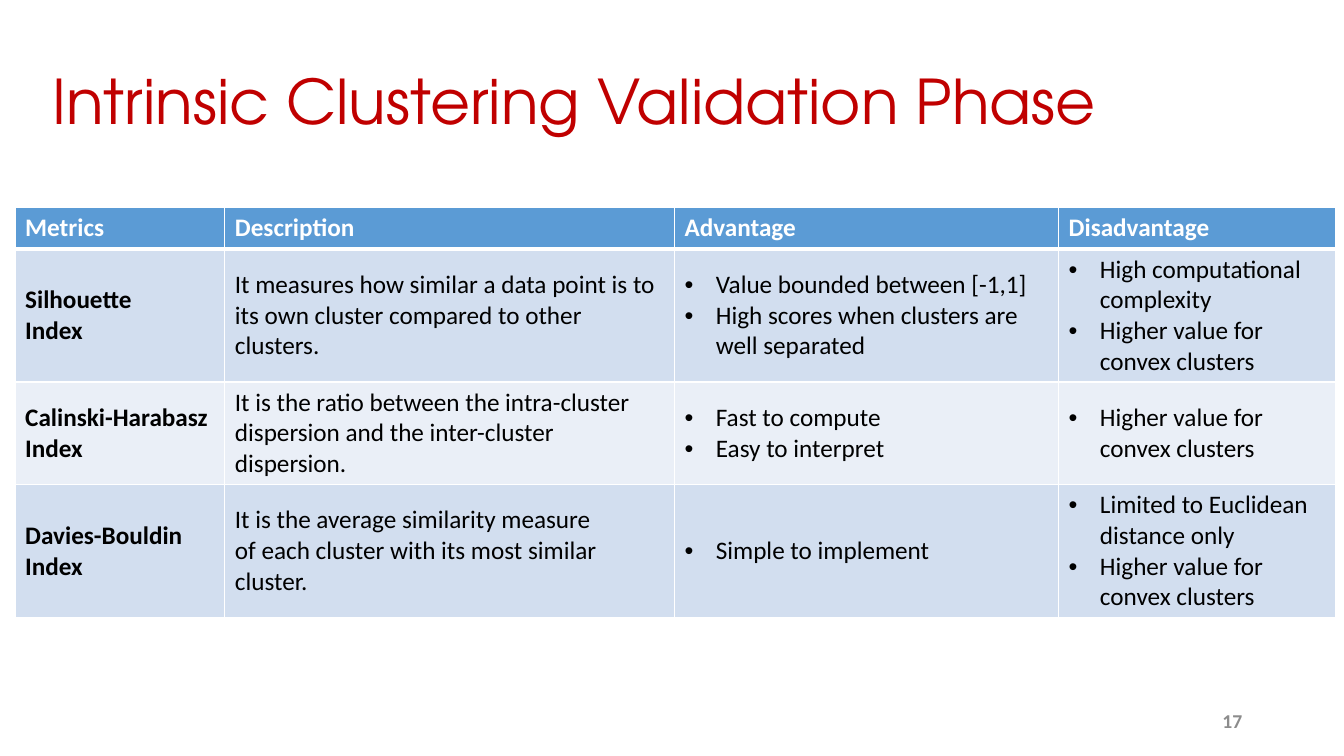
from dataclasses import dataclass
from lxml.etree import SubElement
from pptx import Presentation
from pptx.dml.color import RGBColor
from pptx.enum.text import MSO_ANCHOR, PP_ALIGN
from pptx.oxml.ns import qn
from pptx.util import Emu, Pt


@dataclass(frozen=True)
class Theme:
    title_font: str = "TeX Gyre Adventor"
    body_font: str = "Calibri"
    title_size: int = 44
    body_size: int = 18
    number_size: int = 14
    title: str = "C00000"
    text: str = "000000"
    white: str = "FFFFFF"
    number: str = "8C8C8C"
    header: str = "5B9BD5"
    bands: tuple = ("D2DEEF", "EAEFF7")


THEME = Theme()
EMU_PER_PX = 9144
BULLET_INDENT = 31
COL_WIDTHS = (208, 446, 381, 275)
ROW_HEIGHTS = (41, 131, 101, 131)
BULLET_COLS = (2, 3)
METRICS = (
    ("Metrics", "Description", "Advantage", "Disadvantage"),
    ("Silhouette\nIndex",
     "It measures how similar a data point is to its own cluster compared to other clusters.",
     "Value bounded between [-1,1]\nHigh scores when clusters are well separated",
     "High computational complexity\nHigher value for convex clusters"),
    ("Calinski-Harabasz Index",
     "It is the ratio between the intra-cluster dispersion and the inter-cluster dispersion.",
     "Fast to compute\nEasy to interpret",
     "Higher value for convex clusters"),
    ("Davies-Bouldin Index",
     "It is the average similarity measure\nof each cluster with its most similar cluster.",
     "Simple to implement",
     "Limited to Euclidean distance only\nHigher value for convex clusters"),
)


def px(n):
    return Emu(n * EMU_PER_PX)


def style_runs(tf, font, size, color, bold=False):
    for p in tf.paragraphs:
        for r in p.runs:
            r.font.name = font
            r.font.size = Pt(size)
            r.font.bold = bold
            r.font.color.rgb = RGBColor.from_string(color)


def add_bullet(p):
    pPr = p._p.get_or_add_pPr()
    pPr.set("marL", str(px(BULLET_INDENT)))
    pPr.set("indent", str(-px(BULLET_INDENT)))
    SubElement(pPr, qn("a:buFont"), typeface="Arial")
    SubElement(pPr, qn("a:buChar"), char="•")


def set_borders(cell, widths):
    tcPr = cell._tc.get_or_add_tcPr()
    for side, width in zip("LRTB", widths):
        ln = SubElement(tcPr, qn(f"a:ln{side}"), w=str(Pt(width)))
        fill = SubElement(ln, qn("a:solidFill"))
        SubElement(fill, qn("a:srgbClr"), val=THEME.white)


def fill_cell(cell, text, row, col):
    header = row == 0
    set_borders(cell, (1, 1, 3 if row == 1 else 1, 3 if header else 1))
    cell.fill.solid()
    color = THEME.header if header else THEME.bands[(row - 1) % 2]
    cell.fill.fore_color.rgb = RGBColor.from_string(color)
    cell.vertical_anchor = MSO_ANCHOR.TOP if header else MSO_ANCHOR.MIDDLE
    tf = cell.text_frame
    tf.text = text
    if not header and col in BULLET_COLS:
        for p in tf.paragraphs:
            add_bullet(p)
    style_runs(tf, THEME.body_font, THEME.body_size,
               THEME.white if header else THEME.text, header or col == 0)


def add_metrics_table(s, left, top):
    table = s.shapes.add_table(
        len(METRICS), len(COL_WIDTHS), px(left), px(top),
        px(sum(COL_WIDTHS)), px(sum(ROW_HEIGHTS))).table
    for column, width in zip(table.columns, COL_WIDTHS):
        column.width = px(width)
    for row, height in zip(table.rows, ROW_HEIGHTS):
        row.height = px(height)
    for i, texts in enumerate(METRICS):
        for j, text in enumerate(texts):
            fill_cell(table.cell(i, j), text, i, j)


def add_page_number(s, text, left, top, width, height):
    tf = s.shapes.add_textbox(px(left), px(top), px(width), px(height)).text_frame
    tf.word_wrap = True
    tf.vertical_anchor = MSO_ANCHOR.MIDDLE
    tf.text = text
    tf.paragraphs[0].alignment = PP_ALIGN.RIGHT
    style_runs(tf, THEME.body_font, THEME.number_size, THEME.number, True)


def set_title(s, text, left, top, width, height):
    sp = s.shapes.title
    sp.left, sp.top, sp.width, sp.height = px(left), px(top), px(width), px(height)
    tf = sp.text_frame
    tf.text = text
    tf.vertical_anchor = MSO_ANCHOR.MIDDLE
    p = tf.paragraphs[0]
    p.alignment = PP_ALIGN.LEFT
    p.line_spacing = 0.9
    style_runs(tf, THEME.title_font, THEME.title_size, THEME.title)


def main():
    prs = Presentation()
    prs.slide_width, prs.slide_height = px(1333), px(750)
    s = prs.slides.add_slide(prs.slide_layouts[5])
    set_title(s, "Intrinsic Clustering Validation Phase", 42, 31, 1150, 145)
    add_metrics_table(s, 15, 206)
    add_page_number(s, "17", 942, 695, 300, 40)
    prs.save("out.pptx")


if __name__ == "__main__":
    main()
